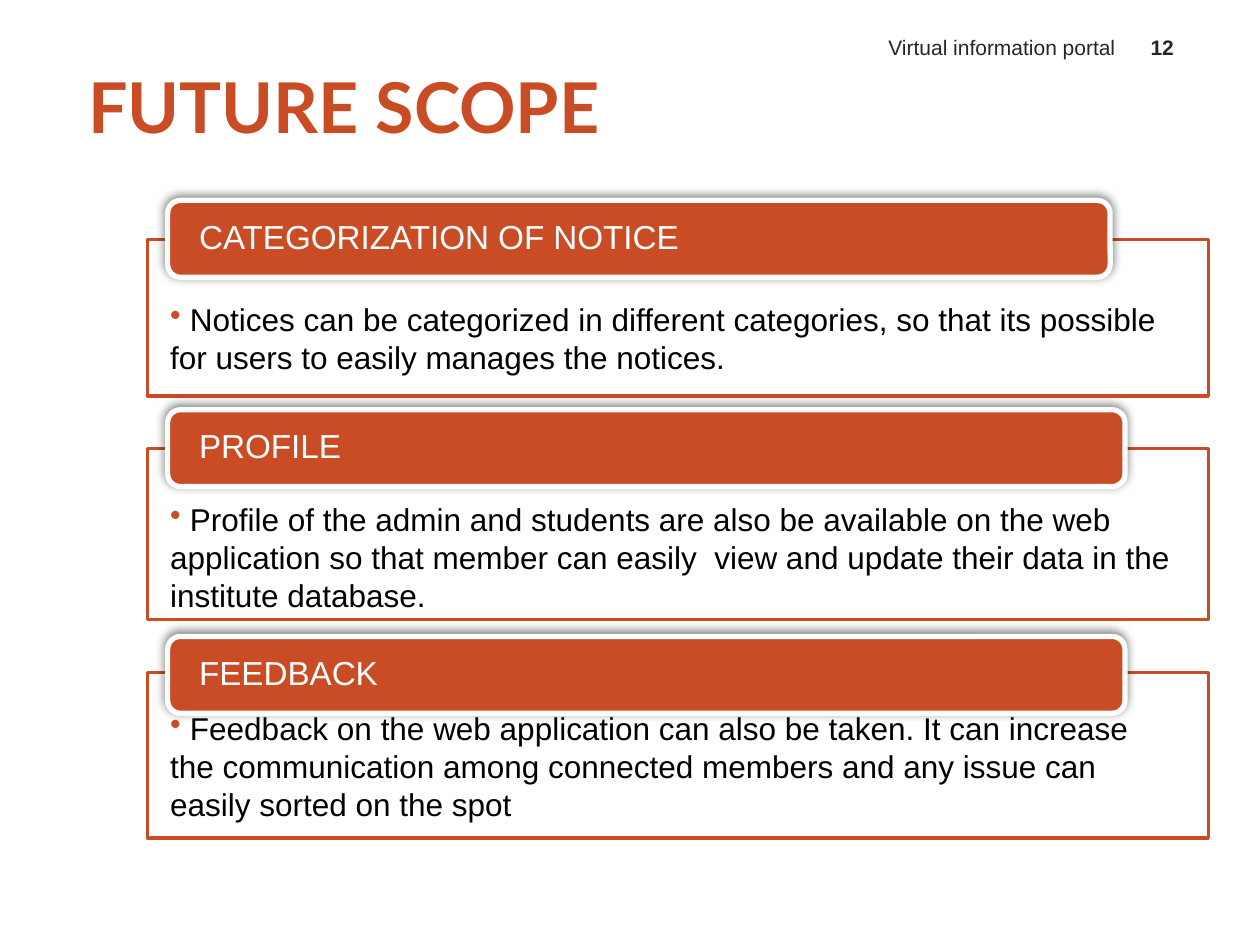
from dataclasses import dataclass

from lxml.etree import SubElement
from pptx import Presentation
from pptx.dml.color import RGBColor
from pptx.enum.shapes import MSO_SHAPE as Shape
from pptx.enum.text import MSO_ANCHOR as Anchor, MSO_AUTO_SIZE as AutoSize, PP_ALIGN as Align
from pptx.oxml.ns import qn
from pptx.slide import Slide
from pptx.text.text import _Paragraph as Paragraph
from pptx.util import Cm, Pt

RUST = RGBColor(0xC9, 0x4C, 0x25)
WHITE = RGBColor(0xFF, 0xFF, 0xFF)
BLACK = RGBColor(0, 0, 0)
CHARCOAL = RGBColor(0x26, 0x26, 0x26)

PANEL_LEFT, PANEL_WIDTH = 2.97, 21.39
HEADING_LEFT, HEADING_HEIGHT = 3.38, 1.55
NOTE_LEFT, NOTE_WIDTH = 3.18, 20.75


@dataclass
class Topic:
    heading: str
    note: str
    heading_top: float
    heading_width: float
    panel_top: float
    panel_height: float
    note_top: float
    note_height: float


TOPICS = [
    Topic("CATEGORIZATION OF NOTICE",
          "Notices can be categorized in different categories, so that its possible "
          "for users to easily manages the notices.",
          4.04, 19, 4.83, 3.15, 5.92, 1.8),
    Topic("PROFILE",
          "Profile of the admin and students are also be available on the web application "
          "so that member can easily  view and update their data in the institute database.",
          8.26, 19.3, 9.04, 3.45, 9.96, 2.57),
    Topic("FEEDBACK",
          "Feedback on the web application can also be taken. It can increase the "
          "communication among connected members and any issue can easily sorted on the spot",
          12.83, 19.3, 13.56, 3.33, 14.17, 2.57),
]


def style(paragraph: Paragraph, size: float, color: RGBColor, face: str = "Arial",
          bold: bool = False, align: Align = Align.LEFT) -> None:
    paragraph.alignment = align
    paragraph.font.name = face
    paragraph.font.size = Pt(size)
    paragraph.font.bold = bold
    paragraph.font.color.rgb = color


def add_title(slide: Slide, text: str) -> None:
    title = slide.shapes.title
    title.left, title.top, title.width, title.height = Cm(1.27), Cm(1.02), Cm(13.54), Cm(2.21)
    frame = title.text_frame
    frame.text = text
    frame.auto_size = AutoSize.NONE
    frame.vertical_anchor = Anchor.MIDDLE
    frame.margin_left = frame.margin_right = 0
    paragraph = frame.paragraphs[0]
    style(paragraph, 40, RUST, "Lato", bold=True)
    paragraph._p.get_or_add_pPr().set("marL", str(Cm(0.51)))


def add_header(slide: Slide, text: str, left: float, width: float,
               align: Align, bold: bool = False) -> None:
    frame = slide.shapes.add_textbox(Cm(left), Cm(0.48), Cm(width), Cm(0.84)).text_frame
    frame.word_wrap = True
    frame.vertical_anchor = Anchor.BOTTOM
    frame.text = text
    style(frame.paragraphs[0], 12, CHARCOAL, bold=bold, align=align)


def add_panel(slide: Slide, topic: Topic) -> None:
    panel = slide.shapes.add_shape(Shape.RECTANGLE, Cm(PANEL_LEFT), Cm(topic.panel_top),
                                   Cm(PANEL_WIDTH), Cm(topic.panel_height))
    panel.shadow.inherit = False
    panel.fill.solid()
    panel.fill.fore_color.rgb = WHITE
    fill_color = panel._element.spPr.find(qn("a:solidFill"))[0]
    SubElement(fill_color, qn("a:alpha"), val="90000")
    panel.line.color.rgb = RUST
    panel.line.width = Pt(2)


def add_heading(slide: Slide, topic: Topic) -> None:
    heading = slide.shapes.add_shape(Shape.ROUNDED_RECTANGLE, Cm(HEADING_LEFT),
                                     Cm(topic.heading_top), Cm(topic.heading_width),
                                     Cm(HEADING_HEIGHT))
    heading.fill.solid()
    heading.fill.fore_color.rgb = RUST
    heading.line.color.rgb = WHITE
    heading.line.width = Pt(3)
    heading.shadow.inherit = False
    effects = heading._element.spPr.find(qn("a:effectLst"))
    shadow = SubElement(effects, qn("a:outerShdw"), blurRad=str(Pt(5)), dist=str(Pt(2)),
                        dir=str(245 * 60000), rotWithShape="0")
    shadow_color = SubElement(shadow, qn("a:srgbClr"), val=str(BLACK))
    SubElement(shadow_color, qn("a:alpha"), val="50000")

    frame = heading.text_frame
    frame.word_wrap = True
    frame.vertical_anchor = Anchor.MIDDLE
    frame.margin_left = frame.margin_right = Cm(0.56)
    frame.margin_top = frame.margin_bottom = 0
    frame.text = topic.heading
    style(frame.paragraphs[0], 19, WHITE)
    frame.paragraphs[0].line_spacing = 0.9


def add_note(slide: Slide, topic: Topic) -> None:
    frame = slide.shapes.add_textbox(Cm(NOTE_LEFT), Cm(topic.note_top),
                                     Cm(NOTE_WIDTH), Cm(topic.note_height)).text_frame
    frame.word_wrap = True
    frame.auto_size = AutoSize.SHAPE_TO_FIT_TEXT
    frame.text = f" {topic.note}"
    paragraph = frame.paragraphs[0]
    style(paragraph, 18, BLACK)
    properties = paragraph._p.get_or_add_pPr()
    bullet_color = properties.makeelement(qn("a:buClr"))
    SubElement(bullet_color, qn("a:srgbClr"), val=str(RUST))
    bullet = properties.makeelement(qn("a:buChar"), {"char": "•"})
    properties.insert(0, bullet_color)
    properties.insert(1, bullet)


def main() -> None:
    deck = Presentation()
    deck.slide_width, deck.slide_height = Cm(25.4), Cm(19.05)
    slide = deck.slides.add_slide(deck.slide_layouts.get_by_name("Title Only"))
    add_title(slide, "FUTURE SCOPE")
    add_header(slide, "Virtual information portal", 15.88, 6.86, Align.RIGHT)
    add_header(slide, "12", 22.73, 1.4, Align.CENTER, bold=True)
    for topic in TOPICS:
        add_panel(slide, topic)
        add_heading(slide, topic)
        add_note(slide, topic)
    deck.save("out.pptx")


if __name__ == "__main__":
    main()
